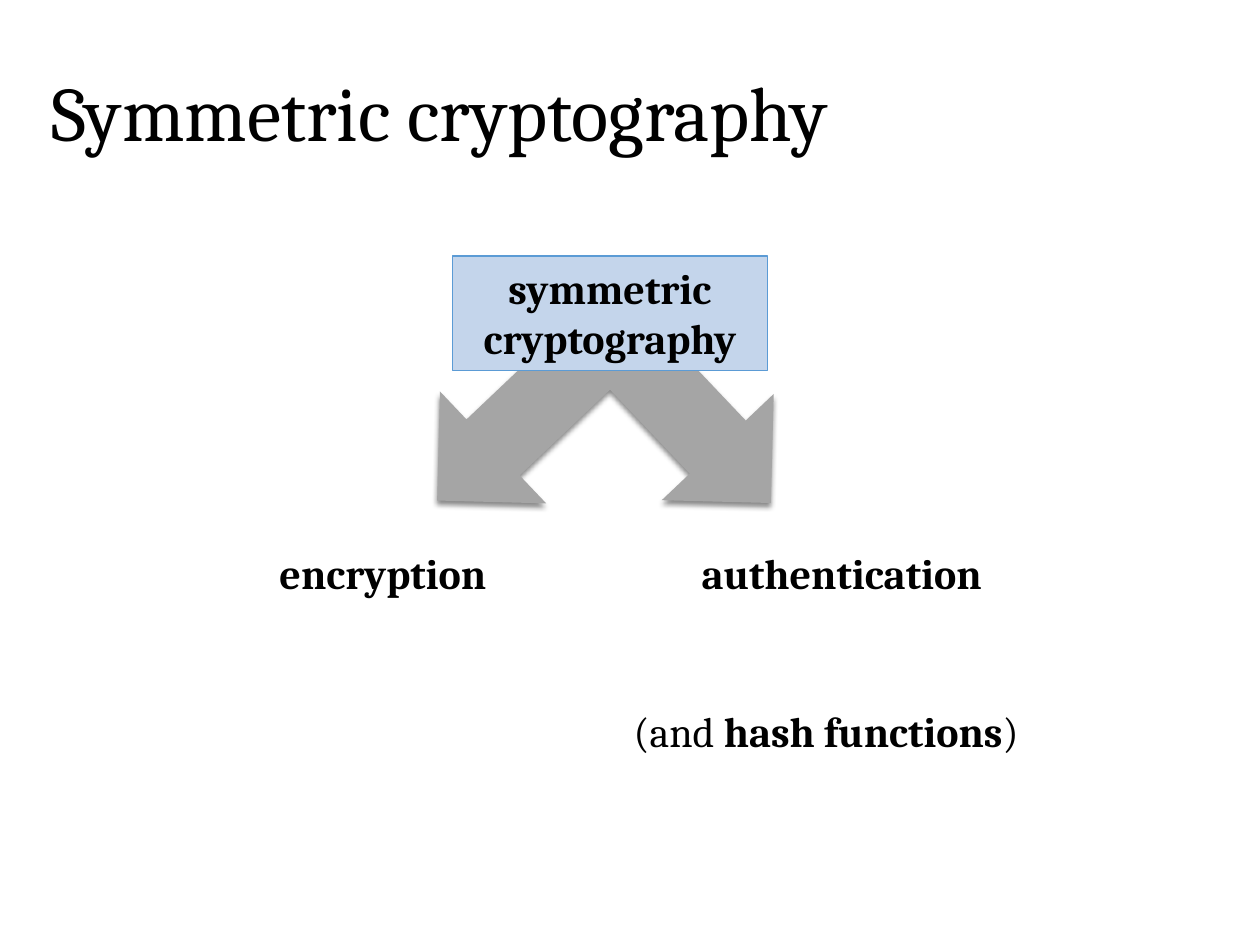
from lxml import etree
from pptx import Presentation
from pptx import util as u
from pptx.dml.color import RGBColor
from pptx.enum import shapes, text
from pptx.oxml import ns

deck = Presentation()
deck.slide_width, deck.slide_height = u.Inches(10), u.Inches(7.5)
wide, high = deck.slide_width, deck.slide_height
slide = deck.slides.add_slide(deck.slide_layouts[5])


def area(left, top, width, height):
    """Turn percent shares of the slide into a position and size."""
    return [int(share * side / 100) for share, side in
            zip((left, top, width, height), (wide, high, wide, high))]


def write(shape, *runs, size=24, align="LEFT", anchor="TOP", wrap=True, line=1.0):
    """Write (words, bold) runs as one paragraph."""
    frame = shape.text_frame
    frame.word_wrap = wrap
    frame.auto_size = text.MSO_AUTO_SIZE.NONE
    frame.vertical_anchor = text.MSO_ANCHOR[anchor]
    para = frame.paragraphs[0]
    para.alignment = text.PP_ALIGN[align]
    para.line_spacing = line
    for words, bold in runs:
        run = para.add_run()
        run.text = words
        font = run.font
        font.name, font.size, font.bold = "Cambria", u.Pt(size), bold
        font.color.rgb = RGBColor.from_string("000000")


# Title
title = slide.shapes.title
title.left, title.top, title.width, title.height = area(3.1, 4, 94.6, 16.67)
write(title, ("Symmetric cryptography", False), size=44, anchor="MIDDLE", line=0.9)

# Forked arrow with a soft shadow below
fork = slide.shapes.add_shape(shapes.MSO_SHAPE.LEFT_UP_ARROW, *area(35.8, 30.53, 24.5, 33.6))
fork.rotation = 226.5
fork.fill.solid()
fork.fill.fore_color.rgb = RGBColor.from_string("A5A5A5")
fork.line.fill.background()
fork.shadow.inherit = False
glow = etree.SubElement(
    fork.element.spPr.find(ns.qn("a:effectLst")), ns.qn("a:outerShdw"),
    blurRad=str(u.Pt(3)), dist=str(u.Pt(2)), dir="5400000", rotWithShape="0")
black = etree.SubElement(glow, ns.qn("a:srgbClr"), val="000000")
etree.SubElement(black, ns.qn("a:alpha"), val="45000")

# Root box
root = slide.shapes.add_shape(shapes.MSO_SHAPE.RECTANGLE, *area(35.9, 27.07, 25, 12.13))
root.fill.solid()
root.fill.fore_color.rgb = RGBColor.from_string("C4D5EB")
root.line.color.rgb = RGBColor.from_string("5B9BD5")
root.line.width = u.Pt(0.79)
root.shadow.inherit = False
write(root, ("symmetric cryptography", True), align="CENTER")

# Branch labels and the added note
for left, top, width, wrap, runs in (
    (21.2, 57.33, 20.6, True, [("encryption", True)]),
    (54.7, 57.33, 26.6, True, [("authentication", True)]),
    (49.3, 74, 33.3, False, [("(and ", False), ("hash functions", True), (")", False)]),
):
    label = slide.shapes.add_textbox(*area(left, top, width, 6.67))
    write(label, *runs, wrap=wrap)

deck.save("out.pptx")
